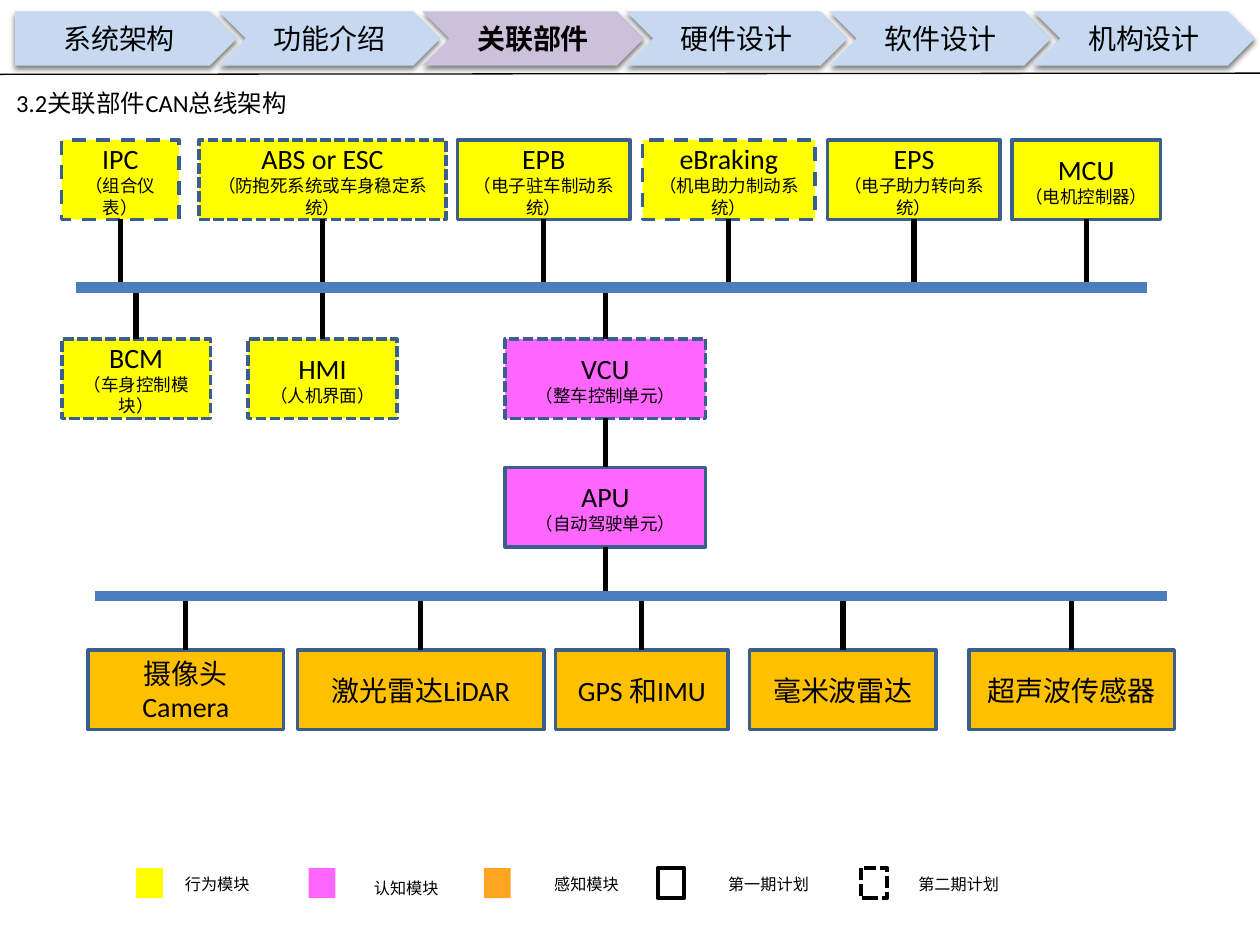
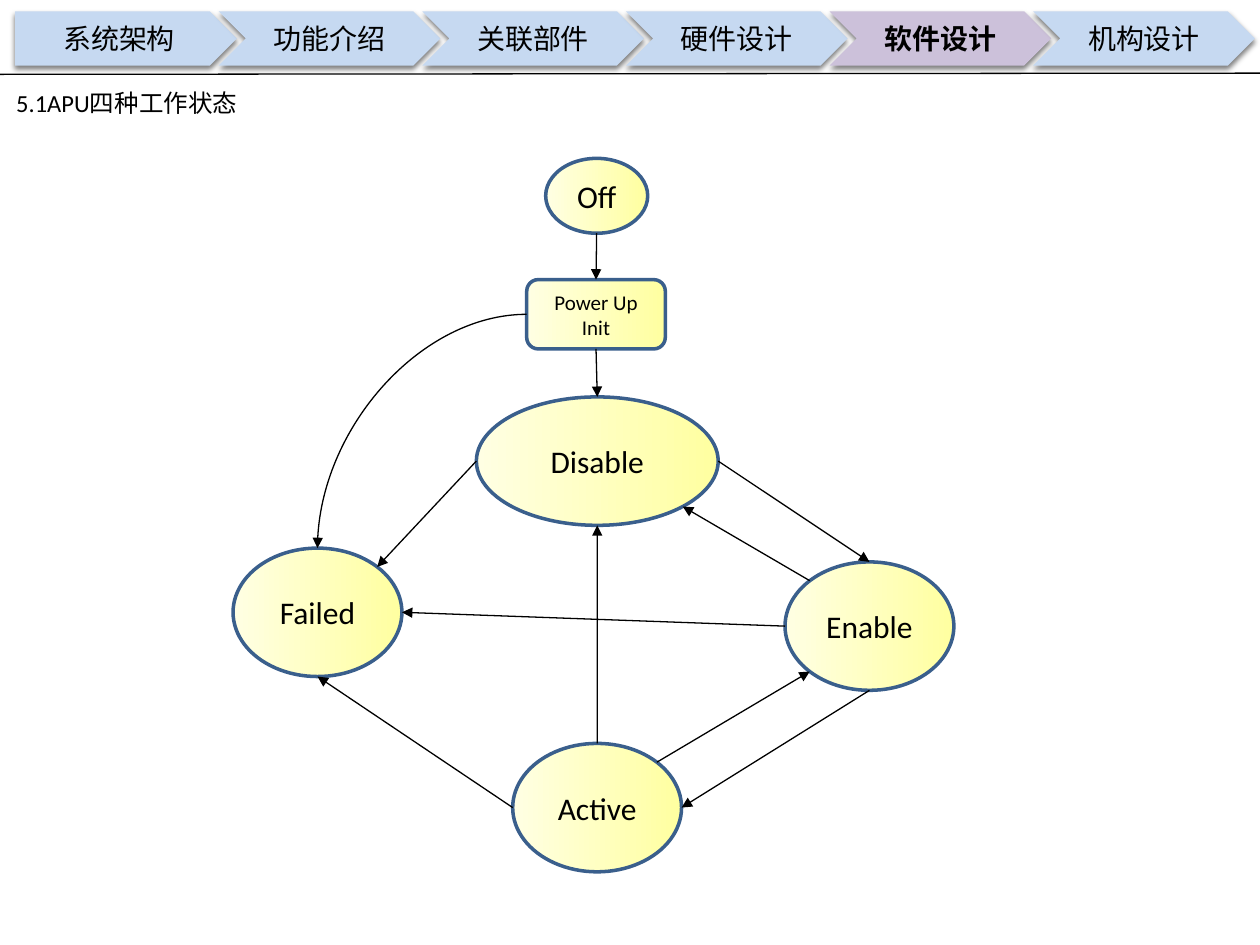
from math import cos, radians, sin

from lxml import etree
from pptx import Presentation
from pptx.dml.color import RGBColor
from pptx.enum.shapes import MSO_CONNECTOR, MSO_SHAPE
from pptx.enum.text import MSO_ANCHOR, PP_ALIGN
from pptx.oxml.ns import qn
from pptx.util import Pt

RECT = MSO_SHAPE.RECTANGLE
ROUND = MSO_SHAPE.ROUNDED_RECTANGLE
OVAL = MSO_SHAPE.OVAL
PLATE = MSO_SHAPE.PENTAGON
CHEVRON = MSO_SHAPE.CHEVRON
LINE = MSO_CONNECTOR.STRAIGHT
CURVE = MSO_CONNECTOR.CURVE
MIDDLE = MSO_ANCHOR.MIDDLE
TOP = MSO_ANCHOR.TOP
CENTER = PP_ALIGN.CENTER
LEFT = PP_ALIGN.LEFT

LATIN = "Calibri"
HAN = "Noto Sans CJK SC"
BLACK, EDGE, BUS = "000000", "3A5F8C", "4B7EBC"
TAB, ACTIVE = "C6D9F1", "CCC1DA"
YELLOW, PINK, AMBER, ORANGE = "FFFF00", "FF66FF", "FFC000", "FFA521"
PALE, LEMON = "FFFFE3", "FFFFA0"
SOLID, DASH, SHORT = None, "dash", "sysDash"

TABS = ["系统架构", "功能介绍", "关联部件", "硬件设计", "软件设计", "机构设计"]
BOX_H = 45.4
ROW_TOP, ROW_MID, ROW_APU, ROW_LOW = 80, 193.7, 267.1, 371.5
BUS_TOP, BUS_LOW = 164.2, 340.6

CONTROLS = [
    (35.3, 67, DASH, "IPC", "（组合仪表）"),
    (113.8, 141.1, SHORT, "ABS or ESC", "（防抱死系统或车身稳定系统）"),
    (261.4, 98.6, SOLID, "EPB", "（电子驻车制动系统）"),
    (367.2, 98.6, DASH, "eBraking", "（机电助力制动系统）"),
    (473, 98.6, SOLID, "EPS", "（电子助力转向系统）"),
    (578.2, 85, SOLID, "MCU", "（电机控制器）"),
]
BODY = [
    (35.3, 85, YELLOW, "BCM", "（车身控制模块）"),
    (141.8, 85, YELLOW, "HMI", "（人机界面）"),
    (288.7, 114.5, PINK, "VCU", "（整车控制单元）"),
]
SENSORS = [
    (50.4, 111.6, "摄像头Camera"),
    (169.9, 141.1, "激光雷达LiDAR"),
    (317.5, 98.6, "GPS 和IMU"),
    (428.4, 106.6, "毫米波雷达"),
    (553.7, 117.4, "超声波传感器"),
]
LEGEND = [
    (77.8, 98.6, 496, YELLOW, None, SOLID, "行为模块"),
    (176.4, 206.6, 498.2, PINK, None, SOLID, "认知模块"),
    (276.5, 309.6, 496, ORANGE, None, SOLID, "感知模块"),
    (375.8, 409, 496, None, BLACK, SOLID, "第一期计划"),
    (491.8, 517.7, 496, None, BLACK, SHORT, "第二期计划"),
]
STATES = {
    "Off": (OVAL, 311.8, 90.5, 58.3, 42.8, 18),
    "Power Up Init": (ROUND, 301, 159.8, 79.2, 39.6, 12),
    "Disable": (OVAL, 272.2, 226.8, 138.2, 73.4, 18),
    "Failed": (OVAL, 133.2, 313.2, 96.5, 73.4, 18),
    "Enable": (OVAL, 448.6, 321.1, 96.5, 73.4, 18),
    "Active": (OVAL, 293, 424.8, 96.5, 73.4, 18),
}
E, SE, S, W, N, NE, NW = 0, 45, 90, 180, 270, 315, 225
MOVES = [
    ("Off", S, "Power Up Init", N),
    ("Power Up Init", S, "Disable", N),
    ("Disable", W, "Failed", NE),
    ("Disable", E, "Enable", N),
    ("Enable", NW, "Disable", SE),
    ("Enable", W, "Failed", E),
    ("Active", NE, "Enable", 135),
    ("Enable", S, "Active", E),
    ("Active", N, "Disable", S),
    ("Active", W, "Failed", S),
]


def paint(color):
    return RGBColor.from_string(color)


def add(node, tag, **attrs):
    return etree.SubElement(node, qn(tag), attrs)


def write(shape, *lines, sizes=(16,), font=LATIN, bold=False,
          align=CENTER, anchor=MIDDLE, inset=None):
    frame = shape.text_frame
    frame.word_wrap = True
    frame.vertical_anchor = anchor
    if inset is not None:
        frame.margin_left = frame.margin_right = Pt(inset)
        frame.margin_top = frame.margin_bottom = Pt(inset)
    for i, (text, size) in enumerate(zip(lines, sizes)):
        para = frame.paragraphs[0] if i == 0 else frame.add_paragraph()
        para.alignment = align
        run = para.add_run()
        run.text = text
        run.font.size = Pt(size)
        run.font.name = font
        run.font.bold = bold
        run.font.color.rgb = paint(BLACK)
        add(run.font._element, "a:ea", typeface=HAN)


def label(slide, x, y, w, h, text, size):
    box = slide.shapes.add_textbox(Pt(x), Pt(y), Pt(w), Pt(h))
    write(box, text, sizes=(size,), align=LEFT, anchor=TOP)


def block(slide, kind, x, y, w, h, fill=None, edge=None, width=2, dash=SOLID):
    shape = slide.shapes.add_shape(kind, Pt(x), Pt(y), Pt(w), Pt(h))
    if fill:
        shape.fill.solid()
        shape.fill.fore_color.rgb = paint(fill)
    else:
        shape.fill.background()
    if edge:
        shape.line.color.rgb = paint(edge)
        shape.line.width = Pt(width)
        if dash:
            add(shape.element.spPr.find(qn("a:ln")), "a:prstDash", val=dash)
    else:
        shape.line.fill.background()
    shape.shadow.inherit = False
    return shape


def wire(slide, start, end, width=3, color=BLACK, arrow=False, kind=LINE):
    line = slide.shapes.add_connector(kind, *map(Pt, (*start, *end)))
    line.line.color.rgb = paint(color)
    line.line.width = Pt(width)
    props = line.element.spPr
    if kind == CURVE:
        props.find(qn("a:prstGeom")).set("prst", "curvedConnector2")
    if arrow:
        add(props.find(qn("a:ln")), "a:tailEnd", type="triangle")
    add(props, "a:effectLst")


def drop(slide, x, top, end):
    wire(slide, (x, top), (x, end))


def module(slide, x, y, w, fill, dash, *lines):
    box = block(slide, RECT, x, y, w, BOX_H, fill, EDGE, dash=dash)
    write(box, *lines, sizes=(16, 10))


def tab(slide, i, text, active):
    shape = block(slide, CHEVRON if i else PLATE, 8.64 + 116.35 * i, 6.5,
                  126.7, 31, ACTIVE if active else TAB)
    glow = add(shape.element.spPr.find(qn("a:effectLst")), "a:outerShdw",
               blurRad=str(Pt(3)), dist=str(Pt(2)), dir="5400000",
               rotWithShape="0")
    add(add(glow, "a:srgbClr", val=BLACK), "a:alpha", val="50000")
    write(shape, text, font=HAN, bold=active, inset=2)


def page(deck, active, title):
    slide = deck.slides.add_slide(deck.slide_layouts[6])
    for i, text in enumerate(TABS):
        tab(slide, i, text, text == active)
    wire(slide, (0, 42.5), (720, 41.8), width=0.75)
    label(slide, 2.2, 46.8, 205, 25, title, 14)
    return slide


def state(slide, name):
    kind, x, y, w, h, size = STATES[name]
    shape = block(slide, kind, x, y, w, h, PALE, EDGE)
    shape.fill.gradient()
    shape.fill.gradient_angle = 180
    for stop, color in zip(shape.fill.gradient_stops, (LEMON, PALE)):
        stop.color.rgb = paint(color)
    write(shape, name, sizes=(size,))


def port(name, angle):
    _, x, y, w, h, _ = STATES[name]
    turn = radians(angle)
    return x + w / 2 * (1 + cos(turn)), y + h / 2 * (1 + sin(turn))


def draw_bus(deck):
    slide = page(deck, "关联部件", "3.2关联部件CAN总线架构")
    for x, w, dash, *lines in CONTROLS:
        module(slide, x, ROW_TOP, w, YELLOW, dash, *lines)
        drop(slide, x + w / 2, ROW_TOP + BOX_H, BUS_TOP)
    for x, w, fill, *lines in BODY:
        module(slide, x, ROW_MID, w, fill, SHORT, *lines)
        drop(slide, x + w / 2, BUS_TOP, ROW_MID)
    x, w = BODY[-1][:2]
    module(slide, x, ROW_APU, w, PINK, SOLID, "APU", "（自动驾驶单元）")
    drop(slide, x + w / 2, ROW_MID + BOX_H, ROW_APU)
    drop(slide, x + w / 2, ROW_APU + BOX_H, BUS_LOW)
    for x, w, name in SENSORS:
        module(slide, x, ROW_LOW, w, AMBER, SOLID, name)
        drop(slide, x + w / 2, BUS_LOW, ROW_LOW)
    for x, y in ((43.4, BUS_TOP), (54.5, BUS_LOW)):
        wire(slide, (x, y), (x + 612.3, y), width=6, color=BUS)
    for x, left, top, fill, edge, dash, text in LEGEND:
        block(slide, RECT, x, 496, 15.3, 17.2, fill, edge, 2.25, dash)
        label(slide, left, top, 72, 17.3, text, 9.2)


def draw_states(deck):
    slide = page(deck, "软件设计", "5.1APU四种工作状态")
    for name in STATES:
        state(slide, name)
    for start, out, end, into in MOVES:
        wire(slide, port(start, out), port(end, into), width=0.75, arrow=True)
    wire(slide, port("Power Up Init", W), port("Failed", N), width=0.75,
         arrow=True, kind=CURVE)


def main():
    deck = Presentation()
    deck.slide_width, deck.slide_height = Pt(720), Pt(540)
    draw_bus(deck)
    draw_states(deck)
    deck.save("out.pptx")


if __name__ == "__main__":
    main()
